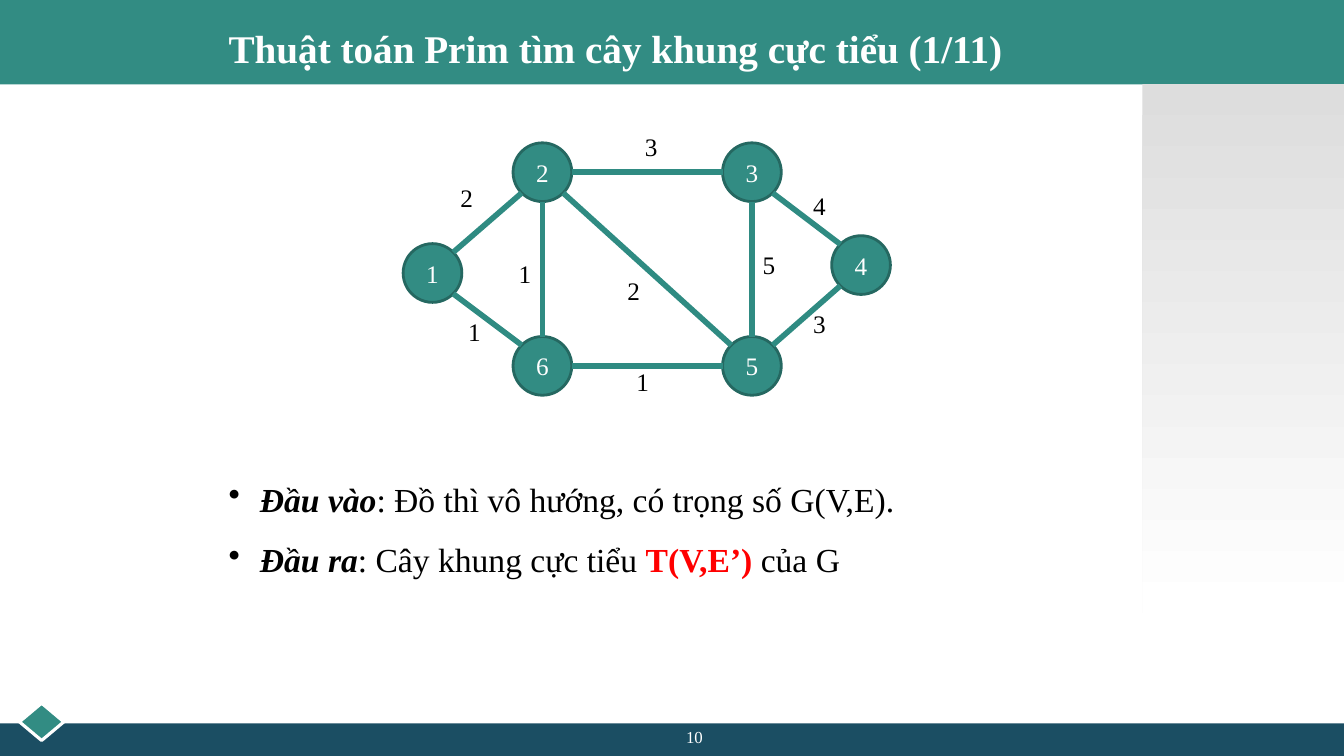
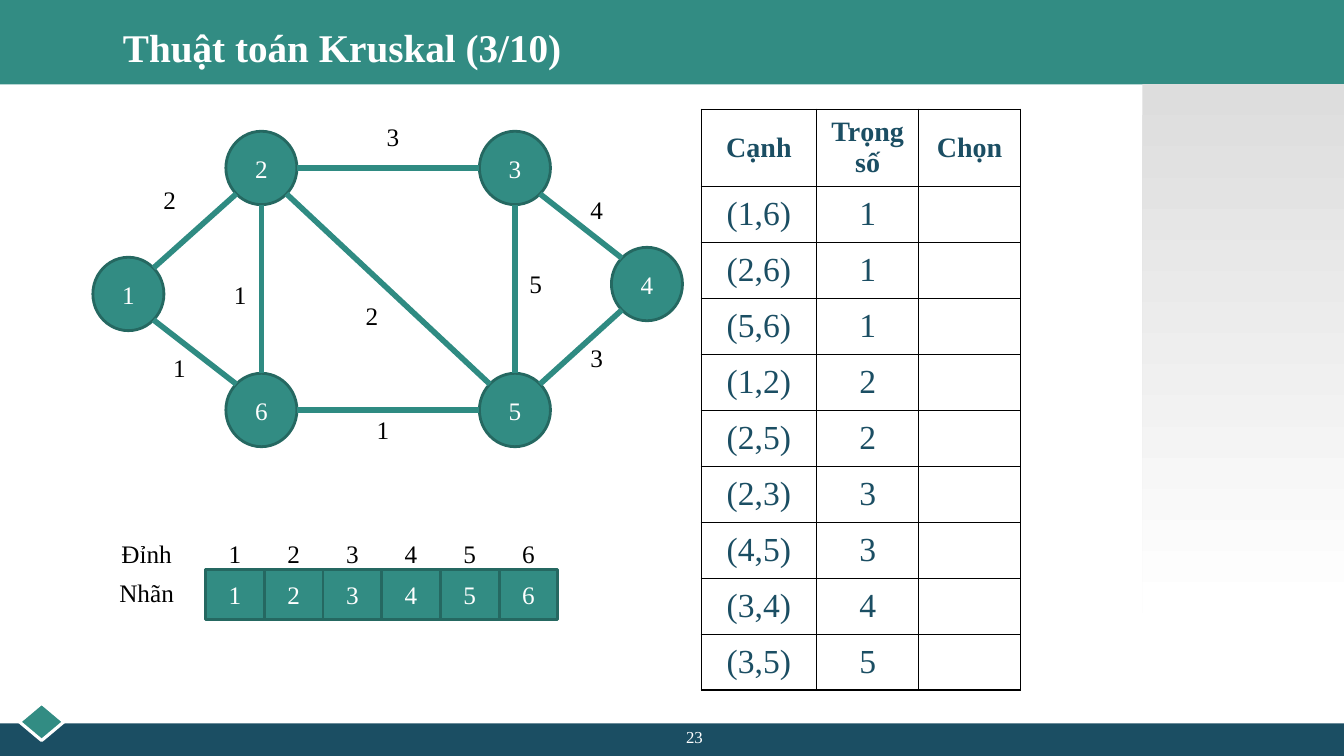
"""Builds two slides on minimum spanning trees: Prim and Kruskal."""
from dataclasses import dataclass
from math import sqrt

from lxml import etree
from pptx import Presentation
from pptx.dml.color import RGBColor
from pptx.enum.shapes import MSO_CONNECTOR, MSO_SHAPE
from pptx.enum.text import MSO_ANCHOR, PP_ALIGN
from pptx.oxml.ns import qn
from pptx.util import Cm, Pt

RECTANGLE, OVAL, DIAMOND = MSO_SHAPE.RECTANGLE, MSO_SHAPE.OVAL, MSO_SHAPE.DIAMOND
STRAIGHT = MSO_CONNECTOR.STRAIGHT
LEFT, CENTER = PP_ALIGN.LEFT, PP_ALIGN.CENTER
TOP, MIDDLE = MSO_ANCHOR.TOP, MSO_ANCHOR.MIDDLE

FONT = "Times New Roman"
TEAL, DARK_TEAL, EDGE_TEAL = "328C83", "256861", "2F8B82"
NAVY, RED = "1B4E63", "FF0000"
BLACK, WHITE, GRAY = "000000", "FFFFFF", "DDDDDD"
SLIDE_WIDTH, SLIDE_HEIGHT = 33.87, 19.05
NODE_SIZE, LABEL_SIZE = 1.48, 1.06


@dataclass(frozen=True)
class Box:
    """A rectangle in centimetres."""
    left: float
    top: float
    width: float
    height: float

    def lengths(self) -> tuple:
        """Return the four sides as lengths."""
        return Cm(self.left), Cm(self.top), Cm(self.width), Cm(self.height)

    def rim(self, across: int, down: int) -> tuple:
        """Return the point of the inscribed ellipse in a compass direction."""
        reach = 0.5 / sqrt(across ** 2 + down ** 2)
        return (Cm(self.left + self.width * (0.5 + reach * across)),
                Cm(self.top + self.height * (0.5 + reach * down)))


@dataclass(frozen=True)
class Node:
    """A graph vertex, placed from the corner of the graph."""
    name: int
    left: float
    top: float


@dataclass(frozen=True)
class Edge:
    """A weighted edge with the place of its label."""
    start: int
    end: int
    weight: int
    left: float
    top: float


@dataclass(frozen=True)
class Frame:
    """The corner and scale of a drawn graph."""
    left: float
    top: float
    scale_x: float = 1
    scale_y: float = 1

    def place(self, left: float, top: float, size: float) -> Box:
        """Turn a square in graph units into a box on the slide."""
        return Box(self.left + left * self.scale_x, self.top + top * self.scale_y,
                   size * self.scale_x, size * self.scale_y)


@dataclass(frozen=True)
class Span:
    """A run of text with its own style."""
    text: str
    bold: bool = False
    italic: bool = False
    color: str = BLACK


NODES = [Node(1, 0, 2.97), Node(2, 2.77, 0.43), Node(3, 8.05, 0.43),
         Node(4, 10.8, 2.77), Node(5, 8.05, 5.31), Node(6, 2.77, 5.31)]
EDGES = [Edge(1, 2, 2, 1.07, 1.27), Edge(2, 3, 3, 5.72, 0),
         Edge(2, 6, 1, 2.54, 3.18), Edge(1, 6, 1, 1.27, 4.65),
         Edge(2, 5, 2, 5.28, 3.61), Edge(5, 6, 1, 5.51, 5.92),
         Edge(3, 5, 5, 8.69, 2.97), Edge(3, 4, 4, 9.96, 1.47),
         Edge(4, 5, 3, 9.96, 4.45)]
BULLETS = [
    [Span("Đầu vào", bold=True, italic=True),
     Span(": Đồ thì vô hướng, có trọng số G(V,E).")],
    [Span("Đầu ra", bold=True, italic=True), Span(": Cây khung cực tiểu "),
     Span("T(V,E’)", bold=True, color=RED), Span(" của G")],
]


def rgb(color: str) -> RGBColor:
    """Turn a hex string into a colour."""
    return RGBColor.from_string(color)


def style_para(para, size: float, color: str, bold: bool = False, align=LEFT) -> None:
    """Set the font and alignment of a paragraph."""
    para.alignment = align
    font = para.font
    font.name, font.size, font.bold = FONT, Pt(size), bold
    font.color.rgb = rgb(color)


def write(shape, text: str, size: float, color: str, bold: bool = False,
          align=CENTER, anchor=MIDDLE, tight: bool = True) -> None:
    """Put one paragraph of text into a shape."""
    frame = shape.text_frame
    frame.word_wrap = True
    frame.vertical_anchor = anchor
    if tight:
        frame.margin_left = frame.margin_right = Cm(0)
        frame.margin_top = frame.margin_bottom = Cm(0)
    para = frame.paragraphs[0]
    para.text = text
    style_para(para, size, color, bold, align)


def add_text(page, box: Box, text: str, size: float = 18, color: str = BLACK, **style) -> None:
    """Add a text box with one paragraph."""
    write(page.shapes.add_textbox(*box.lengths()), text, size, color, **style)


def add_box(page, kind, box: Box, fill: str, line: str = "", width: float = 2):
    """Add a filled preset shape, outlined when a line colour is given."""
    shape = page.shapes.add_shape(kind, *box.lengths())
    shape.shadow.inherit = False
    shape.fill.solid()
    shape.fill.fore_color.rgb = rgb(fill)
    if line:
        shape.line.color.rgb = rgb(line)
        shape.line.width = Pt(width)
    else:
        shape.line.fill.background()
    return shape


def add_page(deck, title: str, title_left: float, title_top: float, number: int):
    """Add a blank slide with the shared bands, title and slide number."""
    page = deck.slides.add_slide(deck.slide_layouts[6])
    add_box(page, RECTANGLE, Box(0, 0, SLIDE_WIDTH, 2.13), TEAL)
    add_box(page, RECTANGLE, Box(0, 18.23, SLIDE_WIDTH, 0.82), NAVY)
    add_box(page, DIAMOND, Box(0.49, 17.72, 1.12, 0.94), TEAL, WHITE, 2.25)
    panel = add_box(page, RECTANGLE, Box(28.79, 2.12, 5.08, 13.34), GRAY)
    panel.fill.gradient()
    panel.fill.gradient_angle = 270
    for stop, color in zip(panel.fill.gradient_stops, (GRAY, WHITE)):
        stop.color.rgb = rgb(color)
    add_text(page, Box(title_left, title_top, 22.86, 1.57), title, 28, WHITE,
             bold=True, align=LEFT, tight=False)
    add_text(page, Box(13.55, 18.2, 7.9, 0.66), str(number), 12, WHITE,
             anchor=TOP, tight=False)
    return page


def direction(start: float, end: float) -> int:
    """Return the sign of the step from start to end."""
    return (end > start) - (end < start)


def add_graph(page, frame: Frame) -> None:
    """Draw the weighted graph inside a frame."""
    nodes = {node.name: node for node in NODES}
    boxes = {node.name: frame.place(node.left, node.top, NODE_SIZE) for node in NODES}
    for name, box in boxes.items():
        write(add_box(page, OVAL, box, TEAL, DARK_TEAL), str(name), 18, WHITE)
    for edge in EDGES:
        start, end = nodes[edge.start], nodes[edge.end]
        across = direction(start.left, end.left)
        down = direction(start.top, end.top)
        line = page.shapes.add_connector(
            STRAIGHT, *boxes[edge.start].rim(across, down),
            *boxes[edge.end].rim(-across, -down))
        line.line.color.rgb = rgb(EDGE_TEAL)
        line.line.width = Pt(4)
        etree.SubElement(line._element.spPr, qn("a:effectLst"))
    for edge in EDGES:
        add_text(page, frame.place(edge.left, edge.top, LABEL_SIZE), str(edge.weight))


def add_bullets(page, box: Box) -> None:
    """Add the bulleted input and output lines."""
    frame = page.shapes.add_textbox(*box.lengths()).text_frame
    frame.word_wrap = True
    for index, spans in enumerate(BULLETS):
        para = frame.add_paragraph() if index else frame.paragraphs[0]
        style_para(para, 24, BLACK)
        para.line_spacing = 1.5
        properties = para._p.get_or_add_pPr()
        properties.set("marL", str(Cm(0.79)))
        properties.set("indent", str(-Cm(0.79)))
        bullet = etree.Element(qn("a:buChar"), char="•")
        properties.find(qn("a:defRPr")).addprevious(bullet)
        for span in spans:
            run = para.add_run()
            run.text = span.text
            font = run.font
            font.name, font.size = FONT, Pt(24)
            font.bold, font.italic = span.bold, span.italic
            font.color.rgb = rgb(span.color)


def add_borders(cell, color: str, width: float) -> None:
    """Draw the four borders of a table cell."""
    properties = cell._tc.get_or_add_tcPr()
    for index, side in enumerate(("a:lnL", "a:lnR", "a:lnT", "a:lnB")):
        border = etree.Element(qn(side), w=str(Pt(width)))
        fill = etree.SubElement(border, qn("a:solidFill"))
        etree.SubElement(fill, qn("a:srgbClr"), val=color)
        properties.insert(index, border)


def add_edge_table(page, box: Box) -> None:
    """Add the table of edges sorted by weight."""
    ordered = sorted(EDGES, key=lambda edge: (edge.weight, edge.start, edge.end))
    rows = [("Cạnh", "Trọng số", "Chọn")]
    rows += [(f"({edge.start},{edge.end})", str(edge.weight), "") for edge in ordered]
    table = page.shapes.add_table(len(rows), 3, *box.lengths()).table
    table.first_row = table.horz_banding = False
    for column, width in zip(table.columns, (2.91, 2.57, 2.57)):
        column.width = Cm(width)
    for index, values in enumerate(rows):
        header = index == 0
        table.rows[index].height = Cm(1.94 if header else 1.41)
        for cell, text in zip(table.rows[index].cells, values):
            cell.fill.background()
            cell.vertical_anchor = MIDDLE
            add_borders(cell, BLACK, 1)
            para = cell.text_frame.paragraphs[0]
            para.text = text
            style_para(para, 20 if header else 24, NAVY, header, CENTER)


def add_label_array(page, left: float, top: float) -> None:
    """Draw the row of vertices above the row of their labels."""
    width, height, header_top = 1.48, 1.27, top - 1.04
    for index, node in enumerate(NODES):
        cell_left = left + index * width
        cell = add_box(page, RECTANGLE, Box(cell_left, top, width, height), TEAL, DARK_TEAL)
        write(cell, str(node.name), 18, WHITE)
        add_text(page, Box(cell_left, header_top, width, height), str(node.name))
    for text, row_top in (("Đỉnh", header_top), ("Nhãn", top - 0.05)):
        add_text(page, Box(left - 2.82, row_top, 2.67, height), text)


def main() -> None:
    """Build and save the deck."""
    deck = Presentation()
    deck.slide_width, deck.slide_height = Cm(SLIDE_WIDTH), Cm(SLIDE_HEIGHT)

    prim = add_page(deck, "Thuật toán Prim tìm cây khung cực tiểu (1/11)", 5.51, 0.43, 10)
    add_graph(prim, Frame(10.16, 3.17))
    add_bullets(prim, Box(5.51, 11.43, 22.86, 3.33))

    kruskal = add_page(deck, "Thuật toán Kruskal (3/10)", 2.85, 0.4, 23)
    add_graph(kruskal, Frame(2.34, 2.77, 1.21, 1.25))
    add_edge_table(kruskal, Box(17.67, 2.75, 8.05, 14.63))
    add_label_array(kruskal, 5.18, 14.35)

    deck.save("out.pptx")


if __name__ == "__main__":
    main()
